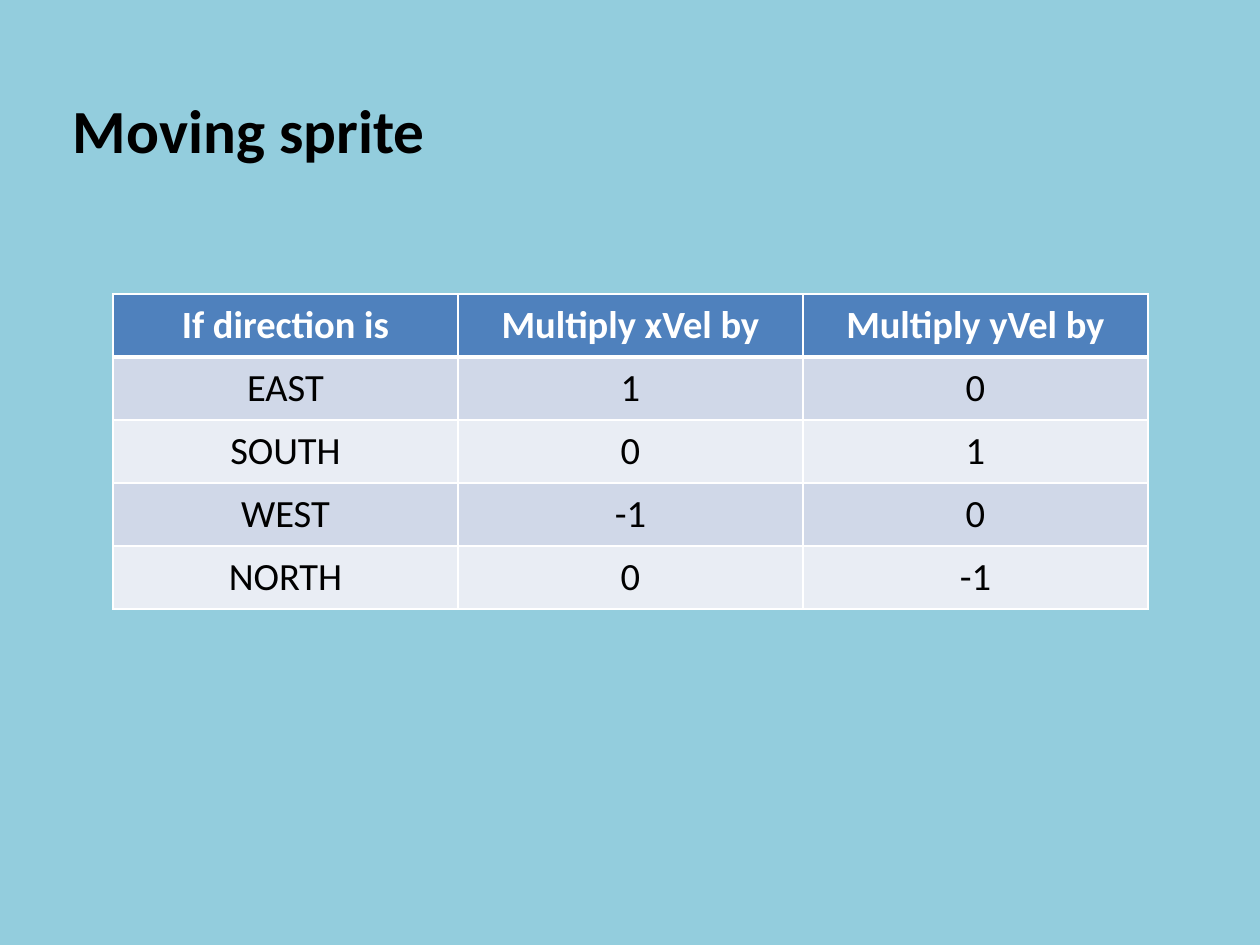
from dataclasses import dataclass

from lxml.etree import SubElement
from pptx import Presentation
from pptx.dml.color import RGBColor
from pptx.enum.text import MSO_ANCHOR as Anchor, MSO_AUTO_SIZE as Fit, PP_ALIGN as Align
from pptx.oxml.ns import qn
from pptx.util import Emu, Pt

SCALE = 914400 / 126
FONT = "Calibri"
WHITE, BLACK, SKY = "FFFFFF", "000000", "93CDDD"


@dataclass(frozen=True)
class Look:
    fill: str
    ink: str = BLACK
    bold: bool = False
    top: int = 1
    base: int = 1


HEAD = Look("4F81BD", ink=WHITE, bold=True, base=3)
FIRST = Look("D0D8E8", top=3)
ODD = Look("D0D8E8")
EVEN = Look("E9EDF4")

ROWS = [
    (HEAD, ("If direction is", "Multiply xVel by", "Multiply yVel by")),
    (FIRST, ("EAST", "1", "0")),
    (EVEN, ("SOUTH", "0", "1")),
    (ODD, ("WEST", "-1", "0")),
    (EVEN, ("NORTH", "0", "-1")),
]


def px(num: int) -> Emu:
    return Emu(round(num * SCALE))


def paint(fill, color: str) -> None:
    fill.solid()
    fill.fore_color.rgb = RGBColor.from_string(color)


def write(frame, text: str, *, size: int, color: str = BLACK,
          bold: bool = False, align=Align.CENTER) -> None:
    para = frame.paragraphs[0]
    para.alignment = align
    run = para.add_run()
    run.text = text
    font = run.font
    font.name, font.size, font.bold = FONT, Pt(size), bold
    font.color.rgb = RGBColor.from_string(color)


def inset(box, side: int, top: int, base: int) -> None:
    box.margin_left = box.margin_right = px(side)
    box.margin_top, box.margin_bottom = px(top), px(base)


def rule(cell, look: Look) -> None:
    """Draw the white borders; call it before the fill is set."""
    props = cell._tc.get_or_add_tcPr()
    for tag, width in (("L", 1), ("R", 1), ("T", look.top), ("B", look.base)):
        line = SubElement(props, qn(f"a:ln{tag}"), w=str(Pt(width)))
        solid = SubElement(line, qn("a:solidFill"))
        SubElement(solid, qn("a:srgbClr"), val=WHITE)


def add_title(slide, text: str) -> None:
    title = slide.shapes.title
    title.left, title.top = px(1), px(1)
    title.width, title.height = px(1258), px(433)
    frame = title.text_frame
    frame.word_wrap = True
    frame.auto_size = Fit.NONE
    frame.vertical_anchor = Anchor.TOP
    inset(frame, side=72, top=91, base=5)
    write(frame, text, size=35, bold=True, align=Align.LEFT)


def add_grid(slide, left: int, top: int, wide: int, high: int) -> None:
    """Place the table, with wide and high as the size of one cell."""
    count = len(ROWS[0][1])
    table = slide.shapes.add_table(
        len(ROWS), count, px(left), px(top),
        px(wide * count), px(high * len(ROWS))).table
    for col in table.columns:
        col.width = px(wide)
    for row, (look, words) in zip(table.rows, ROWS):
        row.height = px(high)
        for cell, word in zip(row.cells, words):
            rule(cell, look)
            paint(cell.fill, look.fill)
            inset(cell, side=15, top=7, base=7)
            cell.vertical_anchor = Anchor.MIDDLE
            write(cell.text_frame, word, size=22, color=look.ink, bold=look.bold)


def main() -> None:
    deck = Presentation()
    deck.slide_width, deck.slide_height = px(1260), px(945)
    slide = deck.slides.add_slide(deck.slide_layouts[5])
    paint(slide.background.fill, SKY)
    add_title(slide, "Moving sprite")
    add_grid(slide, left=113, top=294, wide=345, high=63)
    deck.save("out.pptx")


if __name__ == "__main__":
    main()
